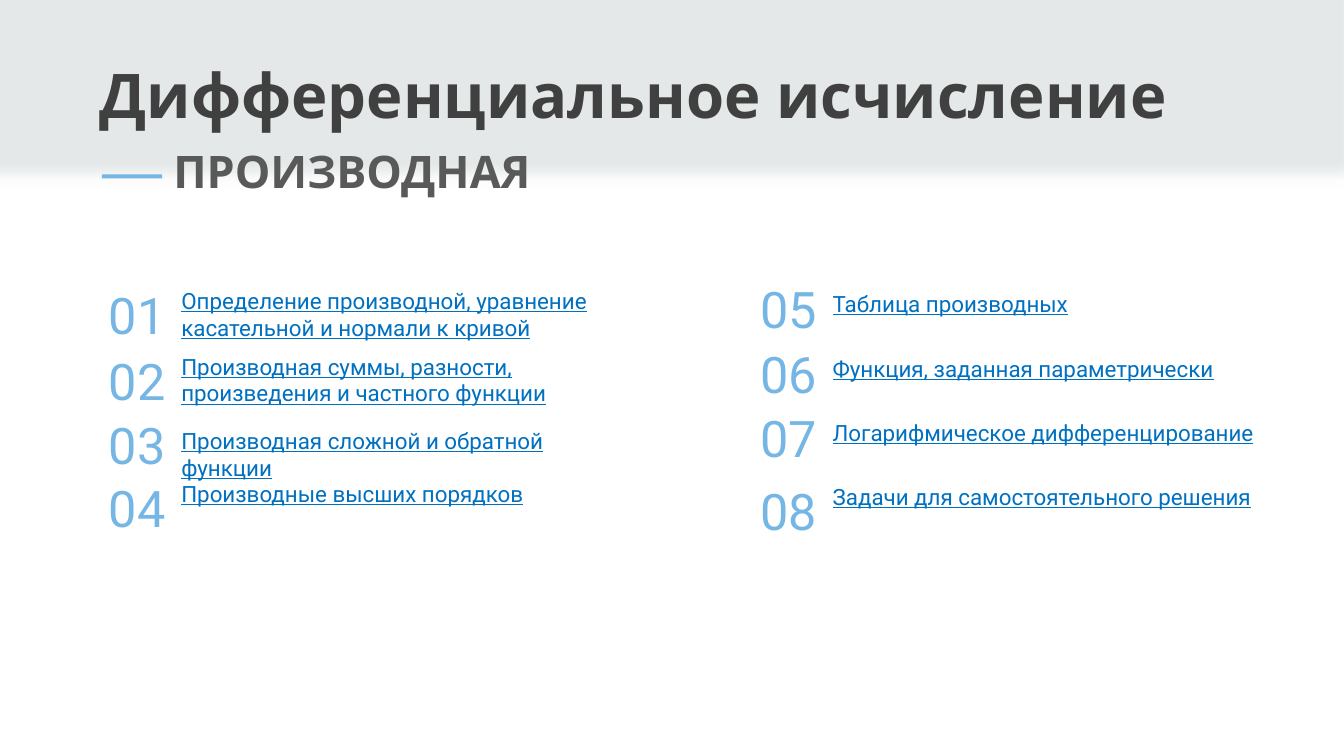
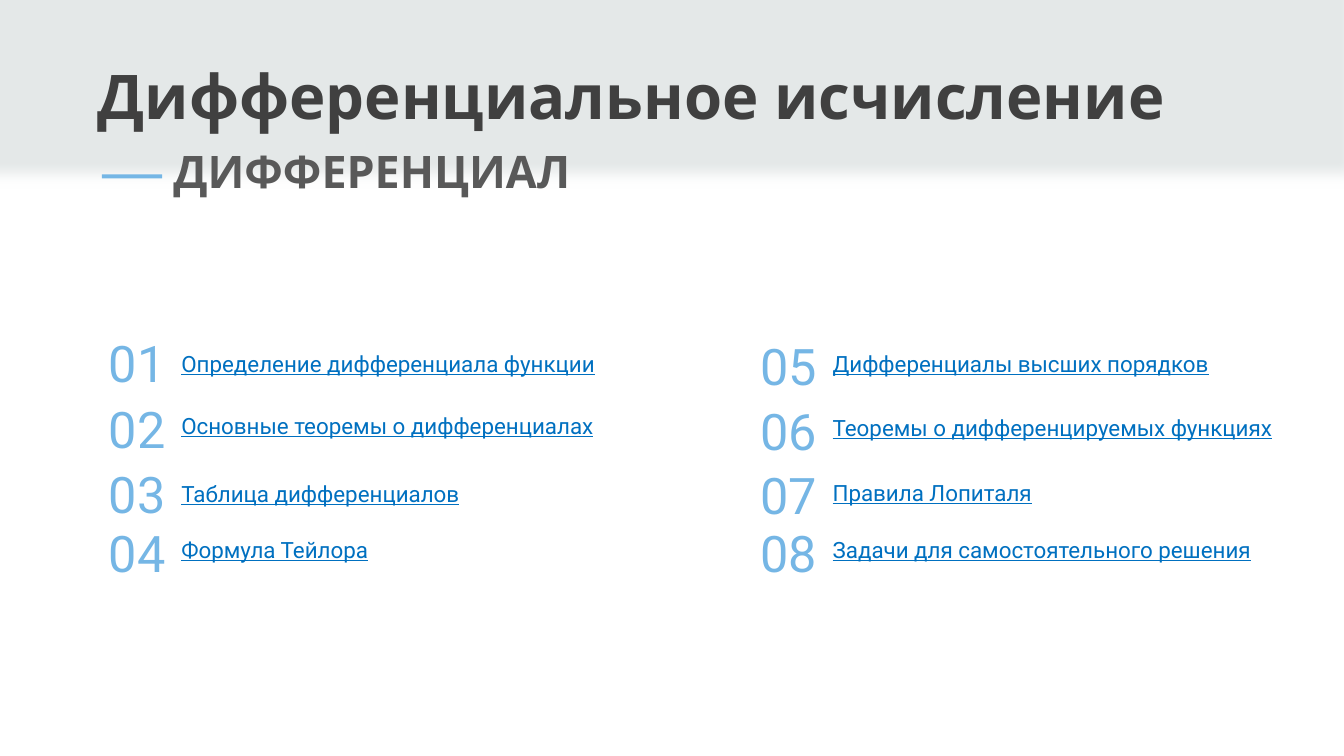
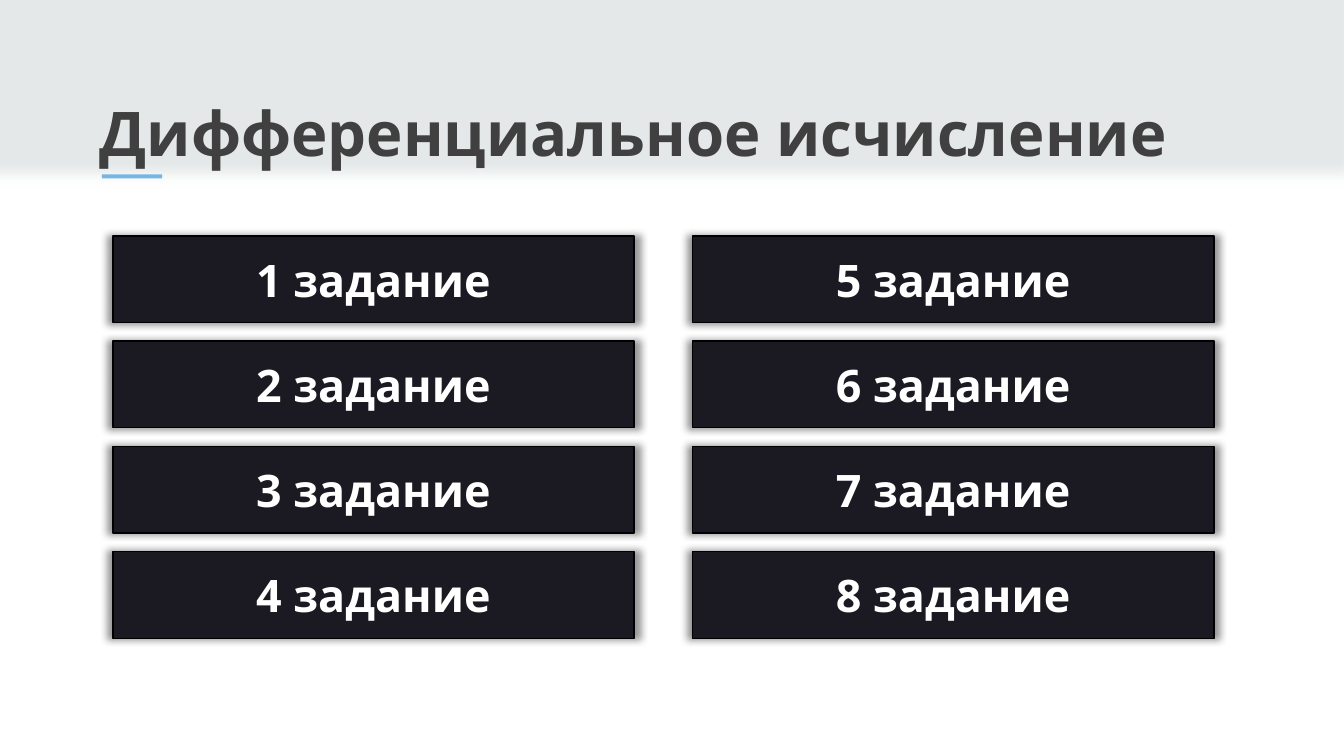
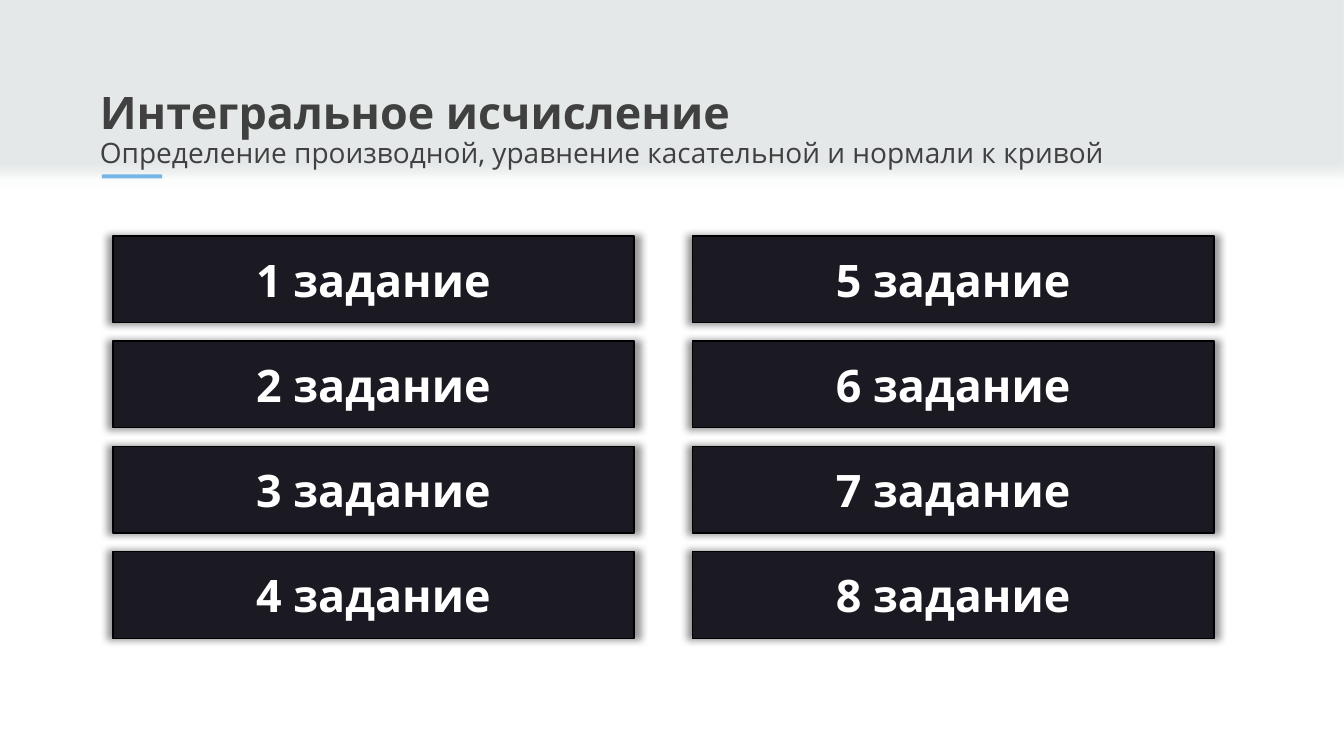
from dataclasses import dataclass

from lxml import etree
from pptx import Presentation
from pptx.dml.color import RGBColor
from pptx.enum import shapes, text
from pptx.oxml import ns
from pptx.util import Inches, Pt


@dataclass(frozen=True)
class Theme:
    band: str = "E4E8E8"
    accent: str = "75B6E5"
    title: str = "404040"
    subtitle: str = "595959"
    item: str = "0070C0"
    button: str = "1B1A22"
    button_line: str = "000000"
    button_text: str = "FFFFFF"
    heading_font: str = "Open Sans"
    body_font: str = "Roboto"
    title_size: int = 44
    heading_size: int = 32
    number_size: int = 36
    note_size: int = 20
    item_size: int = 16


T = Theme()

TITLE = dict(size=T.title_size, name=T.heading_font, color=T.title, bold=True)
SMALL_TITLE = {**TITLE, "size": T.heading_size}
TITLE_NOTE = {**TITLE, "size": T.note_size, "bold": False}
SUBTITLE = {**SMALL_TITLE, "color": T.subtitle}
NUMBER = dict(size=T.number_size, name=T.body_font, color=T.accent)
ITEM = dict(size=T.item_size, name=T.body_font, color=T.item, underline=True)
BUTTON = {**SMALL_TITLE, "color": T.button_text}

COLUMN_LEFTS = (0.98, 7.44)
ROWS = 4

# Each entry: text, top of the text, its height, top of the number
DERIVATIVE_ITEMS = [
    ("Определение производной, уравнение касательной и нормали к кривой", 2.8, 0.71, 2.77),
    ("Производная суммы, разности, произведения и частного функции", 3.45, 0.71, 3.42),
    ("Производная сложной и обратной функции", 4.19, 0.38, 4.06),
    ("Производные высших порядков", 4.71, 0.71, 4.68),
    ("Таблица производных", 2.83, 0.37, 2.71),
    ("Функция, заданная параметрически", 3.47, 0.46, 3.35),
    ("Логарифмическое дифференцирование", 4.11, 0.46, 3.99),
    ("Задачи для самостоятельного решения", 4.74, 0.71, 4.71),
]
DIFFERENTIAL_ITEMS = [
    ("Определение дифференциала функции", 3.42, 0.45, 3.25),
    ("Основные теоремы о дифференциалах", 4.04, 0.41, 3.9),
    ("Таблица дифференциалов", 4.71, 0.41, 4.54),
    ("Формула Тейлора", 5.27, 0.41, 5.13),
    ("Дифференциалы высших порядков", 3.42, 0.41, 3.28),
    ("Теоремы о дифференцируемых функциях", 4.06, 0.41, 3.92),
    ("Правила Лопиталя", 4.7, 0.41, 4.56),
    ("Задачи для самостоятельного решения", 5.27, 0.41, 5.13),
]


def inches(*values):
    return [Inches(v) for v in values]


def add_run(p, words, style):
    r = p.add_run()
    r.text = words
    for key, value in style.items():
        if key == "color":
            r.font.color.rgb = RGBColor.from_string(value)
        else:
            setattr(r.font, key, Pt(value) if key == "size" else value)


def add_effect(sp, tag, color=None, alpha=None, **attributes):
    """Give the shape one effect, such as a shadow or a soft edge."""
    effects = sp.element.spPr.find(ns.qn("a:effectLst"))
    effect = etree.SubElement(effects, ns.qn(tag), attributes)
    if color:
        clr = etree.SubElement(effect, ns.qn("a:srgbClr"), val=color)
        etree.SubElement(clr, ns.qn("a:alpha"), val=alpha)


def add_box(slide, at, fill, line=None, kind=shapes.MSO_SHAPE.RECTANGLE):
    sp = slide.shapes.add_shape(kind, *inches(*at))
    sp.shadow.inherit = False
    sp.fill.solid()
    sp.fill.fore_color.rgb = RGBColor.from_string(fill)
    if line:
        sp.line.color.rgb = RGBColor.from_string(line)
        sp.line.width = Pt(1)
    else:
        sp.line.fill.background()
    return sp


def add_text(slide, at, words, style, **frame):
    """Add a wrapping text box; frame holds text frame settings."""
    tf = slide.shapes.add_textbox(*inches(*at)).text_frame
    tf.word_wrap = True
    for key, value in frame.items():
        setattr(tf, key, value)
    p = tf.paragraphs[0]
    add_run(p, words, style)
    return p


def add_titled_slide(prs, at, *lines):
    """Add a slide with the band, the accent dash and a title of (words, style) lines."""
    slide = prs.slides.add_slide(prs.slide_layouts[5])
    title = slide.shapes.title
    title.left, title.top, title.width, title.height = inches(*at)
    tf = title.text_frame
    tf.auto_size = text.MSO_AUTO_SIZE.NONE
    tf.vertical_anchor = text.MSO_ANCHOR.BOTTOM
    p = tf.paragraphs[0]
    p.alignment = text.PP_ALIGN.LEFT
    p.line_spacing = 0.9
    for i, (words, style) in enumerate(lines):
        if i:
            p.add_line_break()
        add_run(p, words, style)

    band = add_box(slide, (-0.31, -0.34, 13.9, 2.25), T.band)
    add_effect(band, "a:softEdge", rad=str(Pt(12.5)))
    title.element.addprevious(band.element)
    add_box(slide, (1.01, 1.73, 0.6, 0.04), T.accent)
    return slide


def add_contents(slide, subtitle, items):
    """Add the subtitle and the numbered items in two columns."""
    p = add_text(slide, (1.62, 0.78, 11.55, 1.24), subtitle, SUBTITLE,
                 vertical_anchor=text.MSO_ANCHOR.BOTTOM)
    p.line_spacing = 0.9
    for i, (words, top, height, number_top) in enumerate(items):
        left = COLUMN_LEFTS[i // ROWS]
        p = add_text(slide, (left + 0.72, top, 4.72, height), words, ITEM)
        p.space_after = Pt(8)
        add_text(slide, (left, number_top, 0.78, 0.71), f"{i + 1:02}", NUMBER,
                 auto_size=text.MSO_AUTO_SIZE.SHAPE_TO_FIT_TEXT)


def add_task_buttons(slide):
    for i in range(2 * ROWS):
        column, row = divmod(i, ROWS)
        at = (1.12 + 5.75 * column, 2.34 + 1.044 * row, 5.17, 0.86)
        sp = add_box(slide, at, T.button, T.button_line,
                     shapes.MSO_SHAPE.ACTION_BUTTON_CUSTOM)
        add_effect(sp, "a:outerShdw", "000000", "40000", blurRad=str(Pt(5)),
                   sx="102000", sy="102000", algn="ctr", rotWithShape="0")
        tf = sp.text_frame
        tf.vertical_anchor = text.MSO_ANCHOR.MIDDLE
        p = tf.paragraphs[0]
        p.alignment = text.PP_ALIGN.CENTER
        add_run(p, f"{i + 1} задание", BUTTON)


def main():
    prs = Presentation()
    prs.slide_width, prs.slide_height = inches(13.33, 7.5)
    calculus = ("Дифференциальное исчисление", TITLE)

    slide = add_titled_slide(prs, (0.89, 0.12, 11.55, 1.24), calculus)
    add_contents(slide, "ПРОИЗВОДНАЯ", DERIVATIVE_ITEMS)

    slide = add_titled_slide(prs, (0.87, 0.13, 11.55, 1.24), calculus)
    add_contents(slide, "ДИФФЕРЕНЦИАЛ", DIFFERENTIAL_ITEMS)

    low_title = (0.89, 0.8, 11.55, 0.93)
    slide = add_titled_slide(prs, low_title, calculus)
    add_task_buttons(slide)

    slide = add_titled_slide(
        prs, low_title,
        ("Интегральное исчисление", SMALL_TITLE),
        ("Определение производной, уравнение касательной и нормали к кривой", TITLE_NOTE))
    add_task_buttons(slide)

    prs.save("out.pptx")


if __name__ == "__main__":
    main()
